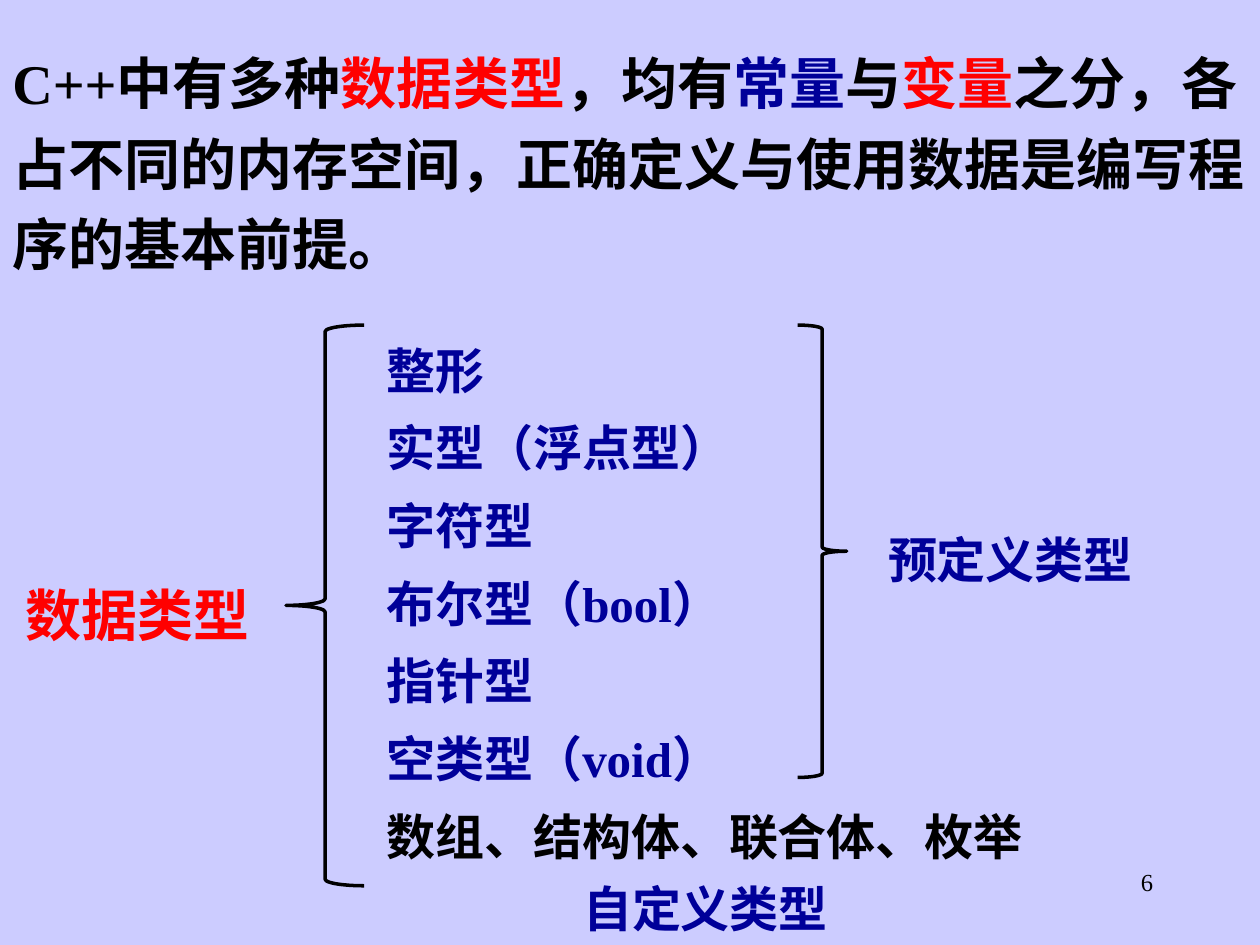
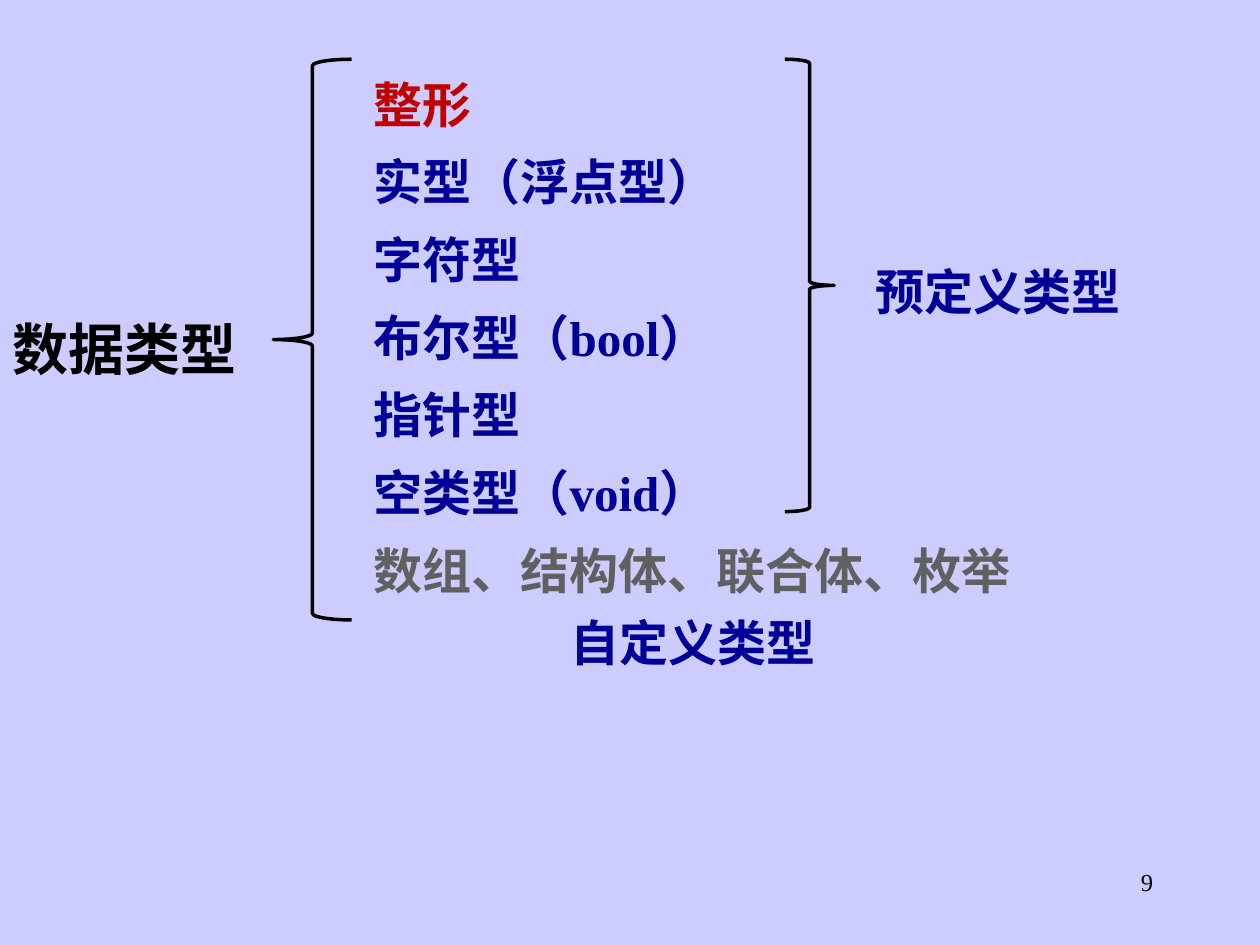
"""Build two slides that show the tree of C++ data types."""
from pptx import Presentation
from pptx.dml.color import RGBColor
from pptx.enum.lang import MSO_LANGUAGE_ID
from pptx.enum.shapes import MSO_SHAPE
from pptx.enum.text import MSO_AUTO_SIZE, PP_ALIGN
from pptx.util import Pt

SCALE = 9144
FONT = "Times New Roman"
HUES = {
    "page": "CCCCFF",
    "ink": "000000",
    "blue": "000099",
    "red": "FF0000",
    "dark": "C00000",
    "gray": "606060",
}
INTRO = [
    ("C++中有多种", "ink"),
    ("数据类型", "red"),
    ("，均有", "ink"),
    ("常量", "blue"),
    ("与", "ink"),
    ("变量", "red"),
    ("之分，各占不同的内存空间，正确定义与使用数据是编写程序的基本前提。", "ink"),
]
BASIC = ["实型（浮点型）", "字符型", "布尔型（bool）", "指针型", "空类型（void）"]


def px(*sizes):
    """Turn lengths in px into EMU."""
    return [size * SCALE for size in sizes]


def tint(name):
    """Return a named colour."""
    return RGBColor.from_string(HUES[name])


def write(shapes, box, lines, size, bold=True, space=1.2, gap=0, align=PP_ALIGN.LEFT):
    """Add a text box whose lines are lists of (text, colour) runs."""
    frame = shapes.add_textbox(*px(*box)).text_frame
    frame.word_wrap = True
    frame.auto_size = MSO_AUTO_SIZE.SHAPE_TO_FIT_TEXT if bold else MSO_AUTO_SIZE.NONE
    for order, line in enumerate(lines):
        para = frame.add_paragraph() if order else frame.paragraphs[0]
        para.alignment = align
        para.line_spacing = space
        if order:
            para.space_before = Pt(gap)
        for text, hue in line:
            run = para.add_run()
            run.text = text
            font = run.font
            font.name, font.size, font.bold = FONT, Pt(size), bold
            font.color.rgb = tint(hue)
            font.language_id = MSO_LANGUAGE_ID.SIMPLIFIED_CHINESE


def brace(shapes, kind, box):
    """Add a curly brace drawn as a plain line."""
    shape = shapes.add_shape(kind, *px(*box))
    shape.shadow.inherit = False
    shape.fill.background()
    shape.line.color.rgb = tint("ink")
    shape.line.width = Pt(2)


def tree(shapes, left, top, root, first, last, drop):
    """Add the tree of types, with colours for its root, first and last lines."""
    lines = [[("整形", first)]]
    lines += [[(text, "blue")] for text in BASIC]
    lines.append([("数组、结构体、联合体、枚举", last)])
    write(shapes, (left, top + 187, 211, 74), [[("数据类型", root)]], 32)
    brace(shapes, MSO_SHAPE.LEFT_BRACE, (left + 217, top, 62, 445))
    write(shapes, (left + 287, top + 16, 547, 418), lines, 28, space=0.8, gap=17.5)
    brace(shapes, MSO_SHAPE.RIGHT_BRACE, (left + 623, top, 39, 359))
    for text, x, y in [("预定义类型", 685, drop), ("自定义类型", 443, 425)]:
        write(shapes, (left + x, top + y, 266, 66), [[(text, "blue")]], 28)


def page(deck, number):
    """Add a blank slide with its number and return it."""
    slide = deck.slides.add_slide(deck.slide_layouts[6])
    write(slide.shapes, (717, 683, 208, 50), [[(number, "ink")]], 14,
          bold=False, space=1.0, align=PP_ALIGN.RIGHT)
    return slide


def main():
    """Build and save the deck."""
    deck = Presentation()
    deck.slide_width, deck.slide_height = px(1000, 750)
    fill = deck.slide_master.background.fill
    fill.solid()
    fill.fore_color.rgb = tint("page")

    shapes = page(deck, "6").shapes
    write(shapes, (0, 23, 1000, 202), [INTRO], 32)
    tree(shapes, 10, 258, "red", "blue", "ink", 148)

    group = page(deck, "9").shapes.add_group_shape()
    tree(group.shapes, 0, 47, "ink", "dark", "gray", 146)
    deck.save("out.pptx")


if __name__ == "__main__":
    main()
